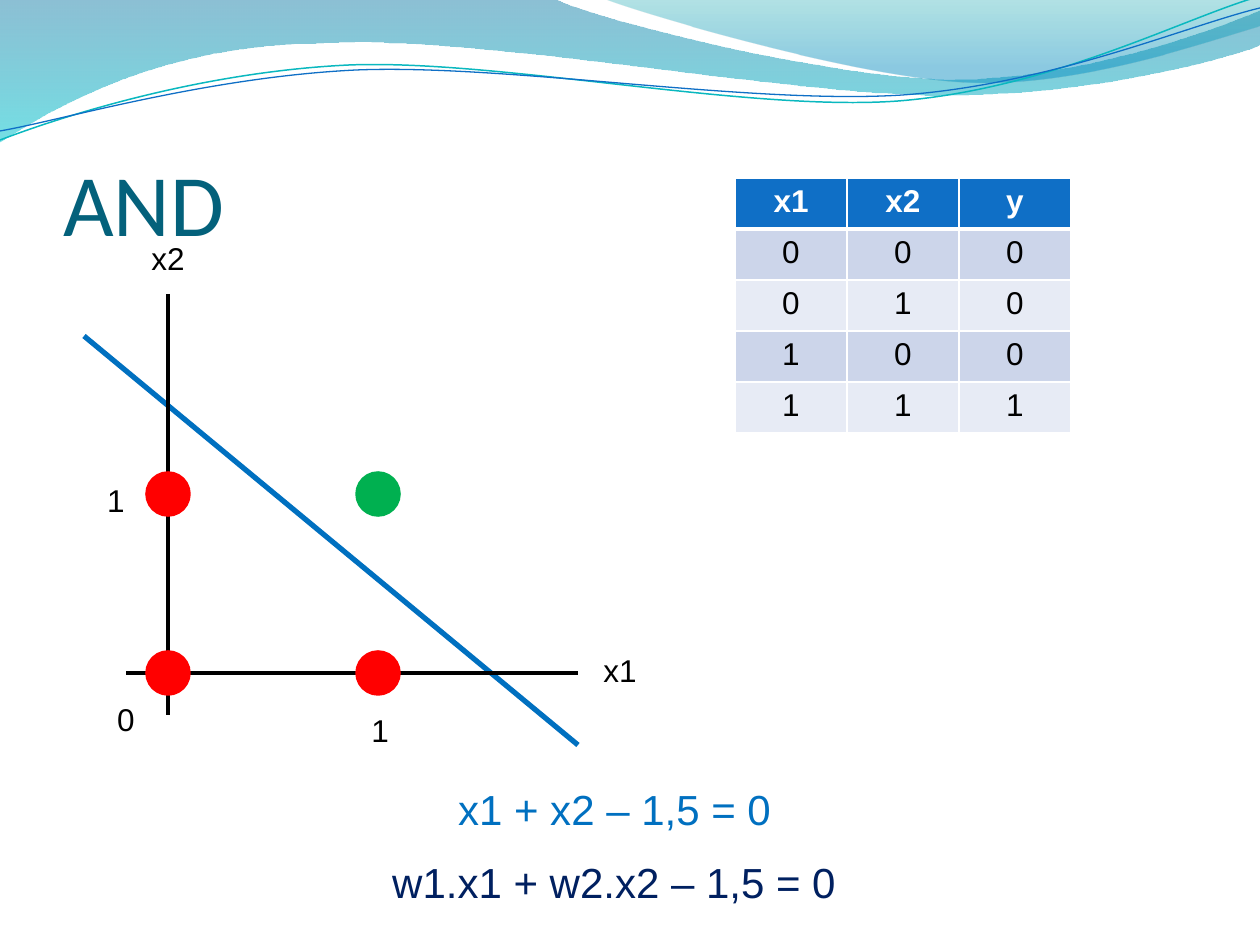
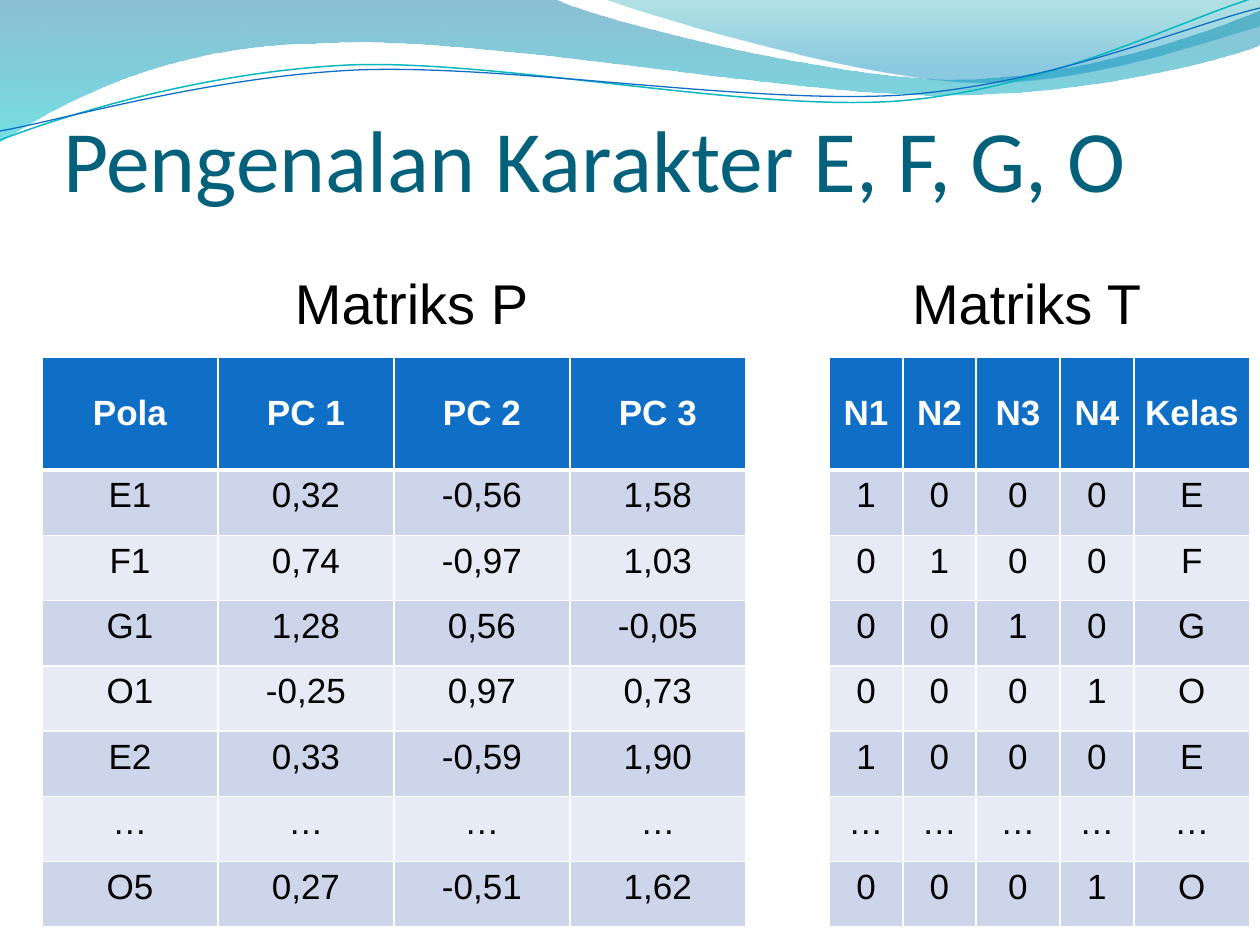
import pptx
import pptx.util
import pptx.dml.color
import pptx.enum.shapes
import pptx.enum.text
import pptx.oxml
import pptx.oxml.ns
from dataclasses import dataclass
from lxml import etree


@dataclass(frozen=True)
class Theme:
    title_font: str = "Calibri"
    body_font: str = "Arial"
    title: str = "04617B"
    text: str = "000000"
    white: str = "FFFFFF"
    header: str = "0F6FC6"
    bands: tuple = ("CCD5EA", "E7EBF5")
    boundary: str = "0070C0"
    weights: str = "002060"
    off: str = "FF0000"
    on: str = "00B050"
    title_size: int = 50
    heading_size: int = 32
    formula_size: int = 24
    matrix_size: int = 20
    label_size: int = 18


T = Theme()
SCALE = 914400 / 126  # EMU per px
SLIDE = (1260, 945)

# Top waves: each curve is a start point and steps of one (line) or three (bezier) points
WAVE_FILLS = [
    ([(0, -1), [(554, -1)], [(600, 21), (837, 79), (955, 79)], [(1075, 79), (1207, 33), (1260, 11)],
      [(1261, 45)], [(1239, 55), (1096, 96), (940, 95)], [(784, 95), (481, 35), (324, 43)],
      [(163, 44), (58, 105), (-1, 142)]],
     [(0, "0074A1", 45), (1, "00C6CF", 55)]),
    ([(604, -1), [(641, 14), (859, 78), (969, 82)], [(1079, 87), (1211, 40), (1260, 26)], [(1260, 0)]],
     [(0, "00A1A9", 30), (0.8, "008BBF", 45)]),
]
WAVE_LINES = [
    ([(0, 140), [(60, 117), (199, 72), (349, 65)], [(498, 59), (747, 112), (898, 101)],
      [(1050, 89), (1182, 19), (1257, -3)]], "0AB8BF", 0.85),
    ([(0, 131), [(59, 121), (207, 77), (357, 70)], [(508, 64), (752, 105), (903, 95)],
      [(1053, 84), (1186, 26), (1260, 8)]], "0F6FC6", 0.75),
]

# Slide 1: AND gate
AND_ROWS = [("x1", "x2", "y"), ("0", "0", "0"), ("0", "1", "0"), ("1", "0", "0"), ("1", "1", "1")]
ORIGIN, UNIT, DOT = (168, 673), (210, 179), 42
PLOT_LINES = [  # start, end, colour, weight
    ((578, 745), (84, 336), T.boundary, 3),
    ((168, 294), (168, 715), T.text, 2.25),
    ((578, 673), (126, 673), T.text, 2.25),
]
PLOT_LABELS = [("0", 84, 694), ("1", 338, 705), ("1", 74, 475), ("x1", 578, 645), ("x2", 126, 233)]
FORMULAS = [
    ("x1 + x2 – 1,5 = 0", (389, 777, 451, 64), T.boundary),
    ("w1.x1 + w2.x2 – 1,5 = 0", (378, 850, 472, 64), T.weights),
]

# Slide 2: pattern and target matrices
P_ROWS = [
    ("Pola", "PC 1", "PC 2", "PC 3"),
    ("E1", "0,32", "-0,56", "1,58"),
    ("F1", "0,74", "-0,97", "1,03"),
    ("G1", "1,28", "0,56", "-0,05"),
    ("O1", "-0,25", "0,97", "0,73"),
    ("E2", "0,33", "-0,59", "1,90"),
    ("…",) * 4,
    ("O5", "0,27", "-0,51", "1,62"),
]
T_ROWS = [("N1", "N2", "N3", "N4", "Kelas")] + [
    ("…",) * 5 if k == "…" else tuple("1" if k == n else "0" for n in "EFGO") + (k,)
    for k in "EFGOE…O"
]
MATRICES = [  # heading, heading box, rows, table left, column widths
    ("Matriks P ", (41, 262, 756, 81), P_ROWS, 42, [176] * 4),
    ("Matriks T ", (829, 262, 410, 81), T_ROWS, 829, [74, 73, 84, 74, 116]),
]


def px(n):
    return pptx.util.Emu(round(n * SCALE))


def rgb(color):
    return pptx.dml.color.RGBColor.from_string(color)


def write(tf, text, size, color, font=T.body_font, bold=False, align="CENTER"):
    p = tf.paragraphs[0]
    p.alignment = getattr(pptx.enum.text.PP_ALIGN, align)
    r = p.add_run()
    r.text = text
    r.font.name, r.font.size, r.font.bold = font, pptx.util.Pt(size), bold
    r.font.color.rgb = rgb(color)


def add_text(shapes, text, box, size, color=T.text):
    tf = shapes.add_textbox(*map(px, box)).text_frame
    tf.word_wrap = True
    tf.auto_size = pptx.enum.text.MSO_AUTO_SIZE.SHAPE_TO_FIT_TEXT
    write(tf, text, size, color)


def style_line(shape, color, weight):
    shape.line.color.rgb = rgb(color)
    shape.line.width = pptx.util.Pt(weight)


def add_line(shapes, start, end, color, weight):
    line = shapes.add_connector(pptx.enum.shapes.MSO_CONNECTOR.STRAIGHT, *map(px, start + end))
    style_line(line, color, weight)
    etree.SubElement(line.element.spPr, pptx.oxml.ns.qn("a:effectLst"))


def add_dot(shapes, x1, x2):
    left = ORIGIN[0] + x1 * UNIT[0] - DOT / 2
    top = ORIGIN[1] - x2 * UNIT[1] - DOT / 2
    dot = shapes.add_shape(pptx.enum.shapes.MSO_SHAPE.OVAL, *map(px, (left, top, DOT, DOT)))
    dot.shadow.inherit = False
    color = T.on if x1 and x2 else T.off
    dot.fill.solid()
    dot.fill.fore_color.rgb = rgb(color)
    style_line(dot, color, 2)


def set_borders(cell, top, bottom):
    tcPr = cell._tc.get_or_add_tcPr()
    for side, weight in (("L", 1), ("R", 1), ("T", top), ("B", bottom)):
        tcPr.append(pptx.oxml.parse_xml(
            f'<a:ln{side} {pptx.oxml.ns.nsdecls("a")} w="{weight * 12700}"><a:solidFill>'
            f'<a:srgbClr val="{T.white}"/></a:solidFill></a:ln{side}>'))


def add_table(s, rows, left, top, widths, heights, size, tight=False):
    frame = s.shapes.add_table(len(rows), len(widths),
                               *map(px, (left, top, sum(widths), sum(heights))))
    table = frame.table
    for col, width in zip(table.columns, widths):
        col.width = px(width)
    for i, (row, values) in enumerate(zip(table.rows, rows)):
        row.height = px(heights[i])
        head = i == 0
        for cell, value in zip(row.cells, values):
            set_borders(cell, 3 if i == 1 else 1, 3 if head else 1)
            cell.fill.solid()
            cell.fill.fore_color.rgb = rgb(T.header if head else T.bands[(i - 1) % 2])
            if tight:
                cell.margin_left = cell.margin_right = 0
                if head:
                    cell.vertical_anchor = pptx.enum.text.MSO_ANCHOR.MIDDLE
            write(cell.text_frame, value, size, T.white if head else T.text, bold=head)


# Shared wave band, kept on the layout
def add_outline(s, curve, close):
    qn = pptx.oxml.ns.qn
    start, *steps = curve
    builder = s.shapes.build_freeform(*map(px, start), scale=1.0)
    builder.add_line_segments([tuple(map(px, step[-1])) for step in steps], close=close)
    shape = builder.convert_to_shape()
    shape.shadow.inherit = False
    # Turn the segments that have control points into bezier curves
    for segment, step in zip(list(shape.element.spPr.iter(qn("a:lnTo"))), steps):
        if len(step) == 3:
            segment.tag = qn("a:cubicBezTo")
            for i, (x, y) in enumerate(step[:2]):
                segment.insert(i, segment.makeelement(
                    qn("a:pt"), x=str(px(x) - shape.left), y=str(px(y) - shape.top)))
    return shape


def add_waves(s, layout):
    waves = []
    for curve, stops in WAVE_FILLS:
        wave = add_outline(s, curve, True)
        wave.line.fill.background()
        wave.fill.gradient()
        wave.fill.gradient_angle = 270
        for stop, (position, color, _) in zip(wave.fill.gradient_stops, stops):
            stop.position, stop.color.rgb = position, rgb(color)
        colors = wave.element.spPr.iter(pptx.oxml.ns.qn("a:srgbClr"))
        for element, (_, _, opacity) in zip(list(colors), stops):
            etree.SubElement(element, pptx.oxml.ns.qn("a:alpha"), val=str(opacity * 1000))
        waves.append(wave)
    for curve, color, weight in WAVE_LINES:
        wave = add_outline(s, curve, False)
        wave.fill.background()
        style_line(wave, color, weight)
        waves.append(wave)
    for i, wave in enumerate(waves):
        layout.shapes.element.insert(2 + i, wave.element)


def add_slide(prs, title, top):
    s = prs.slides.add_slide(prs.slide_layouts[5])
    sp = s.shapes.title
    sp.left, sp.top, sp.width, sp.height = map(px, (63, top, 1144, 158))
    tf = sp.text_frame
    tf.auto_size = pptx.enum.text.MSO_AUTO_SIZE.NONE
    tf.vertical_anchor = pptx.enum.text.MSO_ANCHOR.BOTTOM
    tf.margin_left = tf.margin_right = tf.margin_bottom = 0
    write(tf, title, T.title_size, T.title, T.title_font, align="LEFT")
    return s


def build_and(prs):
    s = add_slide(prs, "AND", 96)
    add_waves(s, s.slide_layout)
    plot = s.shapes.add_group_shape().shapes
    for line in PLOT_LINES:
        add_line(plot, *line)
    for x1, x2, _ in AND_ROWS[1:]:
        add_dot(plot, int(x1), int(x2))
    for text, left, top in PLOT_LABELS:
        add_text(plot, text, (left, top, 84, 50), T.label_size)
    add_table(s, AND_ROWS, 735, 178, [112] * 3, [51] * 5, T.label_size)
    for text, box, color in FORMULAS:
        add_text(s.shapes, text, box, T.formula_size, color)


def build_matrices(prs):
    s = add_slide(prs, "Pengenalan Karakter E, F, G, O", 52)
    for heading, box, rows, left, widths in MATRICES:
        heights = [113] + [457 / 7] * 7
        add_table(s, rows, left, 357, widths, heights, T.matrix_size, tight=True)
        add_text(s.shapes, heading, box, T.heading_size)


def main():
    prs = pptx.Presentation()
    prs.slide_width, prs.slide_height = map(px, SLIDE)
    build_and(prs)
    build_matrices(prs)
    prs.save("out.pptx")


if __name__ == "__main__":
    main()
